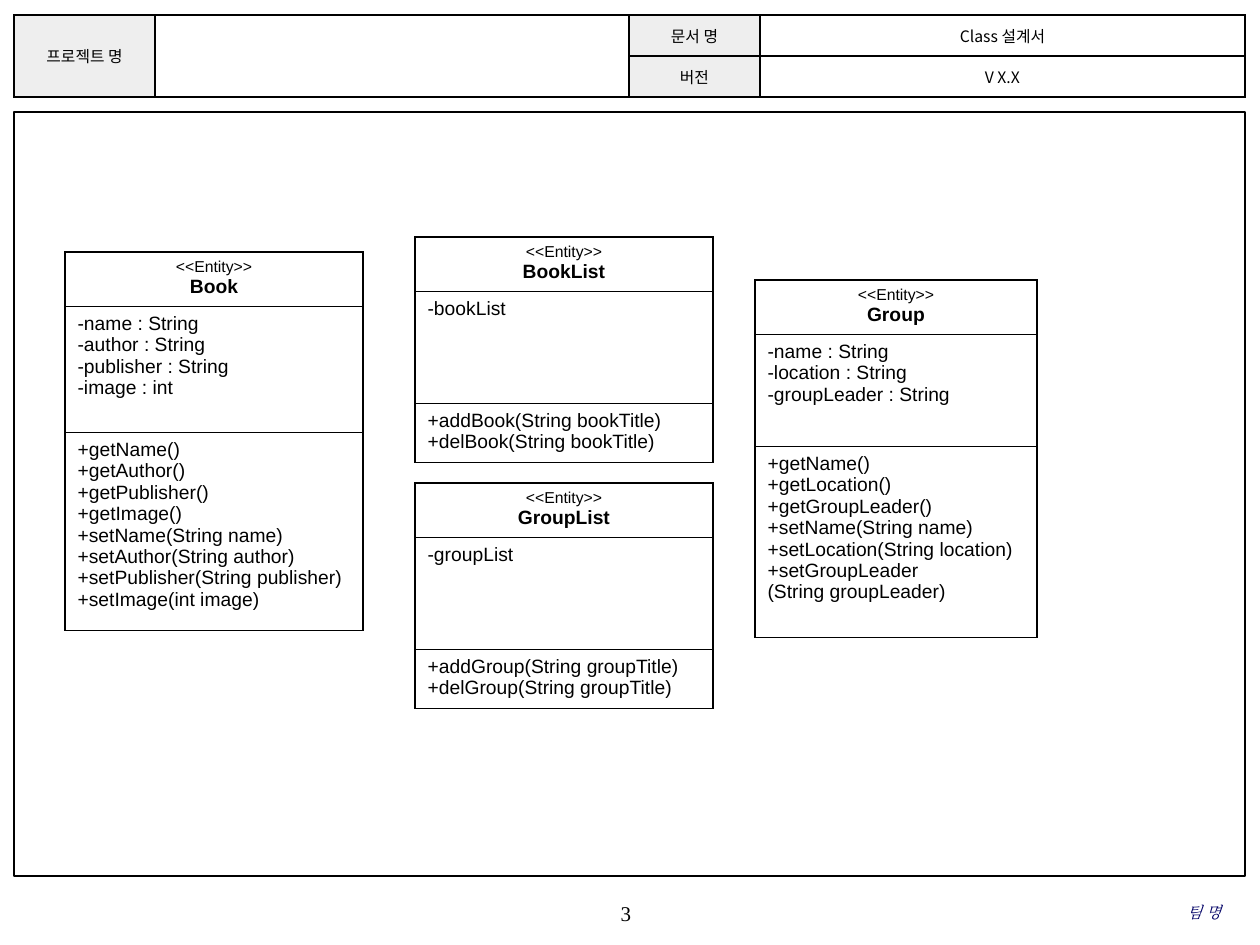
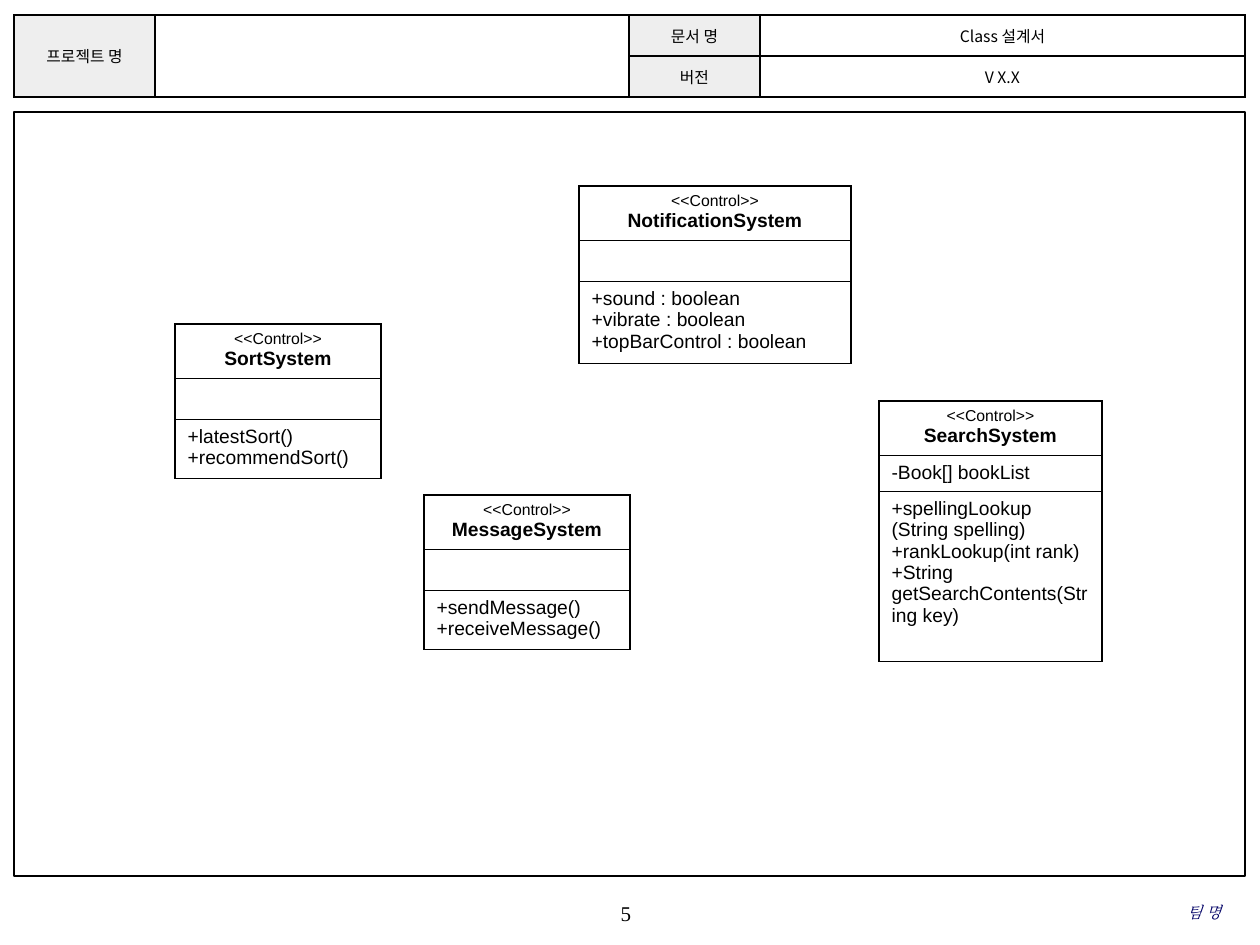
from lxml.etree import SubElement
from pptx import Presentation
from pptx.dml.color import RGBColor
from pptx.enum.shapes import MSO_SHAPE as Shape
from pptx.enum.text import MSO_ANCHOR as Anchor, PP_ALIGN as Align
from pptx.oxml.ns import qn
from pptx.util import Emu, Pt

SCALE = 914400 // 126
COLORS = {"ink": "000000", "paper": "FFFFFF", "label": "EEEEEE", "team": "000066"}
SANS, SERIF, KOREAN = "Arial", "Times New Roman", "Noto Sans CJK KR"

HEADER = {"at": (14, 15), "cols": (141, 474, 131, 485), "rows": (41, 41)}
# row, column, text, fill
HEADER_CELLS = [
    (0, 0, "프로젝트 명", "label"), (0, 1, "", None),
    (0, 2, "문서 명", "label"), (0, 3, "Class 설계서", None),
    (1, 2, "버전", "label"), (1, 3, "V X.X", None),
]
FRAME = (14, 112, 1231, 764)
PAGE_BOX = (495, 892, 262, 42)
TEAM_BOX = (835, 891, 386, 42)
TEAM = "팀 명"
NAME_ROW = 52

# name, (left, top, width), heights of the two lower rows, attributes, operations
PAGES = [
    {"number": "3", "stereotype": "<<Entity>>", "classes": [
        ("Book", (65, 252, 298), (126, 184),
         ["-name : String", "-author : String", "-publisher : String", "-image : int"],
         ["+getName()", "+getAuthor()", "+getPublisher()", "+getImage()",
          "+setName(String name)", "+setAuthor(String author)",
          "+setPublisher(String publisher)", "+setImage(int image)"]),
        ("BookList", (415, 237, 298), (112, 56), ["-bookList"],
         ["+addBook(String bookTitle)", "+delBook(String bookTitle)"]),
        ("Group", (755, 280, 282), (112, 191),
         ["-name : String", "-location : String", "-groupLeader : String"],
         ["+getName()", "+getLocation()", "+getGroupLeader()",
          "+setName(String name)", "+setLocation(String location)",
          "+setGroupLeader", "(String groupLeader)"]),
        ("GroupList", (415, 483, 298), (112, 56), ["-groupList"],
         ["+addGroup(String groupTitle)", "+delGroup(String groupTitle)"]),
    ]},
    {"number": "5", "stereotype": "<<Control>>", "classes": [
        ("SearchSystem", (879, 401, 223), (34, 170), ["-Book[] bookList"],
         ["+spellingLookup", "(String spelling)", "+rankLookup(int rank)",
          "+String getSearchContents(String key)"]),
        ("SortSystem", (175, 324, 206), (41, 55), [],
         ["+latestSort()", "+recommendSort()"]),
        ("MessageSystem", (424, 495, 206), (41, 55), [],
         ["+sendMessage()", "+receiveMessage()"]),
        ("NotificationSystem", (579, 186, 272), (41, 77), [],
         ["+sound : boolean", "+vibrate : boolean", "+topBarControl : boolean"]),
    ]},
]


def px(*lengths):
    """Turn pixels into EMU."""
    return [Emu(length * SCALE) for length in lengths]


def color(name):
    """Look up a named colour."""
    return RGBColor.from_string(COLORS[name])


def write(frame, lines, size, font, align=Align.LEFT, ink="ink", bold=False, italic=False,
          fresh=True):
    """Write one paragraph per line; fresh reuses the first empty paragraph."""
    for index, line in enumerate(lines):
        para = frame.paragraphs[0] if fresh and index == 0 else frame.add_paragraph()
        para.alignment = align
        span = para.add_run()
        span.text = line
        span.font.size, span.font.name = Pt(size), font
        span.font.bold, span.font.italic = bold, italic
        span.font.color.rgb = color(ink)
        SubElement(span.font._element, qn("a:ea"), typeface=font)


def style_cell(cell, fill):
    """Give a cell its four borders, its fill and a small empty line."""
    props = cell._tc.get_or_add_tcPr()
    for side in ("lnL", "lnR", "lnT", "lnB"):
        line = SubElement(props, qn("a:" + side), w=str(Pt(1)))
        solid = SubElement(line, qn("a:solidFill"))
        SubElement(solid, qn("a:srgbClr"), val=COLORS["ink"])
    if fill:
        cell.fill.solid()
        cell.fill.fore_color.rgb = color(fill)
    else:
        cell.fill.background()
    if not cell.text:
        SubElement(cell.text_frame.paragraphs[0]._p, qn("a:endParaRPr"), sz="1100")


def add_grid(slide, left, top, cols, rows):
    """Add an unbanded table with the given column widths and row heights."""
    box = px(left, top, sum(cols), sum(rows))
    table = slide.shapes.add_table(len(rows), len(cols), *box).table
    table.first_row = table.horz_banding = False
    for column, width in zip(table.columns, px(*cols)):
        column.width = width
    for row, height in zip(table.rows, px(*rows)):
        row.height = height
    return table


def add_header(slide):
    """Add the document header table."""
    table = add_grid(slide, *HEADER["at"], HEADER["cols"], HEADER["rows"])
    for column in (0, 1):
        table.cell(0, column).merge(table.cell(1, column))
    for row, column, text, fill in HEADER_CELLS:
        cell = table.cell(row, column)
        cell.vertical_anchor = Anchor.MIDDLE
        cell.margin_left = cell.margin_right = px(5)[0]
        cell.margin_top = cell.margin_bottom = px(3)[0]
        if text:
            write(cell.text_frame, [text], 9, KOREAN, Align.CENTER)
        style_cell(cell, fill)
    for column in (0, 1):
        style_cell(table.cell(1, column), None)


def add_label(slide, place, text, size, align, **look):
    """Add a footer text without margins."""
    frame = slide.shapes.add_textbox(*px(*place)).text_frame
    frame.word_wrap = True
    frame.vertical_anchor = Anchor.MIDDLE
    frame.margin_left = frame.margin_right = frame.margin_top = frame.margin_bottom = 0
    write(frame, [text], size, SERIF, align, **look)


def add_shared(slide, number):
    """Add the header, the frame and the footers."""
    add_label(slide, PAGE_BOX, number, 12, Align.CENTER)
    add_header(slide)
    frame = slide.shapes.add_shape(Shape.RECTANGLE, *px(*FRAME))
    frame.shadow.inherit = False
    frame.fill.background()
    frame.line.color.rgb = color("ink")
    frame.line.width = Pt(0.75)
    add_label(slide, TEAM_BOX, TEAM, 9, Align.RIGHT, ink="team", italic=True)


def add_class(slide, stereotype, name, place, heights, attributes, operations):
    """Add a class box: name, attributes and operations."""
    left, top, width = place
    table = add_grid(slide, left, top, (width,), (NAME_ROW, *heights))
    title = table.cell(0, 0).text_frame
    write(title, [stereotype], 9, SANS, Align.CENTER)
    write(title, [name], 11, SANS, Align.CENTER, bold=True, fresh=False)
    for row, members in enumerate((attributes, operations), start=1):
        write(table.cell(row, 0).text_frame, members, 11, SANS)
    for cell in table.iter_cells():
        style_cell(cell, "paper")


deck = Presentation()
deck.slide_width, deck.slide_height = px(1260, 945)
for page in PAGES:
    slide = deck.slides.add_slide(deck.slide_layouts[6])
    add_shared(slide, page["number"])
    for entry in page["classes"]:
        add_class(slide, page["stereotype"], *entry)
deck.save("out.pptx")
